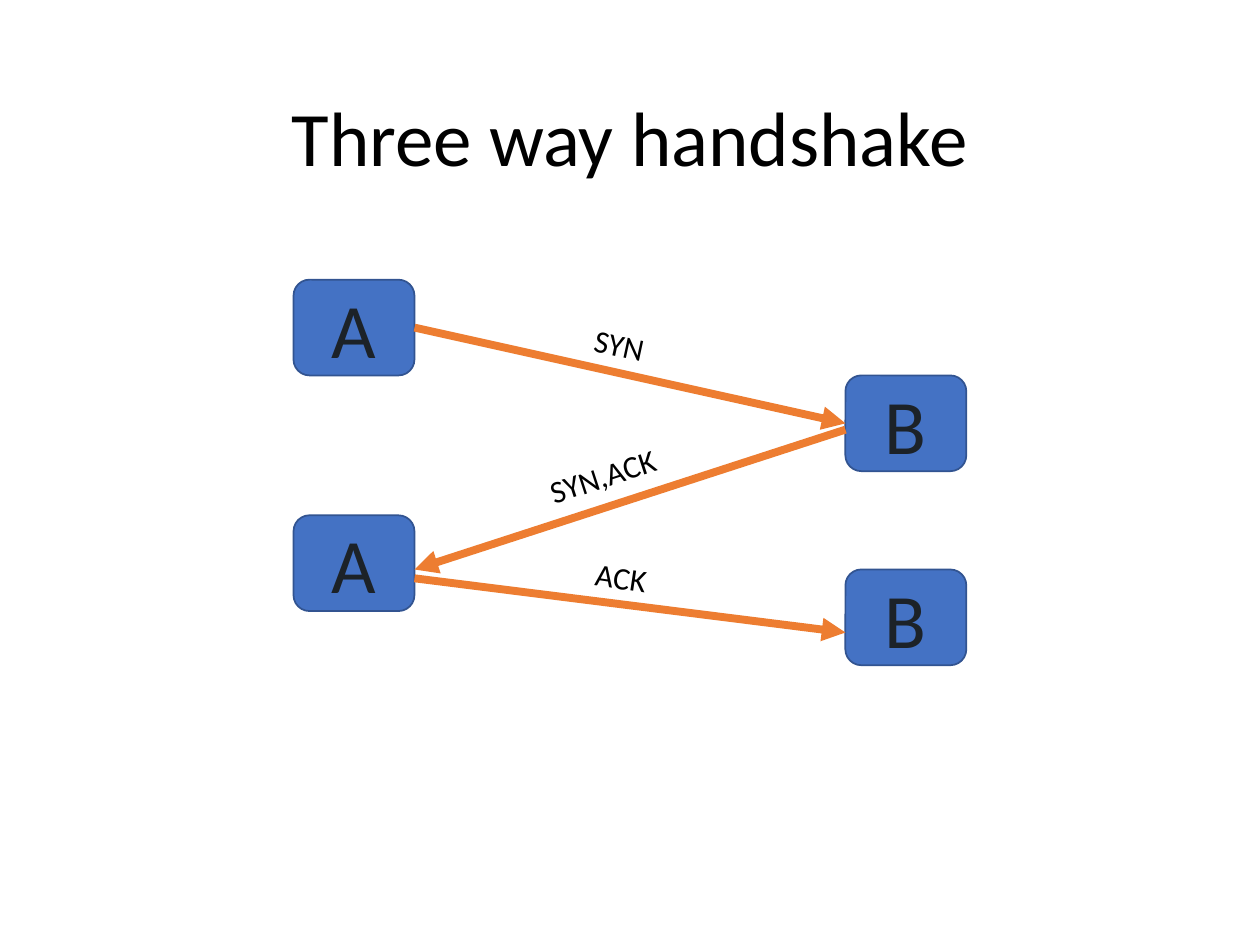
from lxml.etree import SubElement
from pptx import Presentation
from pptx.dml.color import RGBColor
from pptx.enum.shapes import MSO_CONNECTOR, MSO_SHAPE
from pptx.enum.text import MSO_ANCHOR, PP_ALIGN
from pptx.oxml.ns import qn
from pptx.util import Inches, Pt

WHITE = RGBColor(0xFF, 0xFF, 0xFF)
BLACK = RGBColor(0x00, 0x00, 0x00)
DARK = RGBColor(0x1C, 0x22, 0x28)
BLUE = RGBColor(0x44, 0x72, 0xC4)
BLUE_EDGE = RGBColor(0x32, 0x54, 0x91)
ORANGE = RGBColor(0xED, 0x7D, 0x31)

HOST_WIDTH, HOST_HEIGHT = 0.96, 0.76
A_LEFT, B_LEFT = 2.33, 6.71
A_EDGE, B_EDGE = A_LEFT + HOST_WIDTH, B_LEFT

HOSTS = [
    ("A", A_LEFT, 2.22),
    ("B", B_LEFT, 2.98),
    ("A", A_LEFT, 4.09),
    ("B", B_LEFT, 4.52),
]
MESSAGES = [
    ((A_EDGE, 2.6), (B_EDGE, 3.36)),
    ((B_EDGE, 3.41), (A_EDGE, 4.52)),
    ((A_EDGE, 4.59), (B_EDGE, 5.02)),
]
LABELS = [
    ("SYN", 4.62, 2.55, 0.73, 12.3),
    ("SYN,ACK", 4.24, 3.51, 1.48, 342),
    ("ACK", 4.63, 4.39, 0.73, 8.5),
]


def write_text(shape, text, *, size, font="Calibri", color=BLACK,
               align=PP_ALIGN.LEFT, anchor=MSO_ANCHOR.TOP, line_spacing=1.0):
    frame = shape.text_frame
    frame.word_wrap = True
    frame.vertical_anchor = anchor
    paragraph = frame.paragraphs[0]
    paragraph.alignment = align
    paragraph.line_spacing = line_spacing
    run = paragraph.add_run()
    run.text = text
    run.font.name = font
    run.font.size = Pt(size)
    run.font.color.rgb = color


class HandshakeSlide:
    """Holds the slide and the style of its elements."""

    large_size = 44
    label_size = 18
    arrow_width = 4.5

    def __init__(self, slide):
        self.slide = slide
        fill = slide.background.fill
        fill.solid()
        fill.fore_color.rgb = WHITE

    def add_title(self, text):
        box = self.slide.shapes.add_textbox(
            Inches(0.69), Inches(0.4), Inches(8.62), Inches(1.45))
        write_text(box, text, size=self.large_size, align=PP_ALIGN.CENTER,
                   anchor=MSO_ANCHOR.MIDDLE, line_spacing=0.9)

    def add_host(self, name, left, top):
        shape = self.slide.shapes.add_shape(
            MSO_SHAPE.ROUNDED_RECTANGLE, Inches(left), Inches(top),
            Inches(HOST_WIDTH), Inches(HOST_HEIGHT))
        shape.shadow.inherit = False
        shape.fill.solid()
        shape.fill.fore_color.rgb = BLUE
        shape.line.color.rgb = BLUE_EDGE
        shape.line.width = Pt(1)
        write_text(shape, name, size=self.large_size, color=DARK,
                   align=PP_ALIGN.CENTER, anchor=MSO_ANCHOR.MIDDLE)

    def add_arrow(self, start, end):
        arrow = self.slide.shapes.add_connector(
            MSO_CONNECTOR.STRAIGHT, *map(Inches, start + end))
        arrow.line.color.rgb = ORANGE
        arrow.line.width = Pt(self.arrow_width)
        SubElement(arrow.line._get_or_add_ln(), qn("a:tailEnd"), type="triangle")
        SubElement(arrow._element.spPr, qn("a:effectLst"))

    def add_label(self, text, left, top, width, rotation):
        box = self.slide.shapes.add_textbox(
            Inches(left), Inches(top), Inches(width), Inches(0.4))
        box.rotation = rotation
        write_text(box, text, size=self.label_size)


def main():
    presentation = Presentation()
    presentation.slide_width = Inches(10)
    presentation.slide_height = Inches(7.5)
    blank_layout = presentation.slide_layouts[6]
    handshake = HandshakeSlide(presentation.slides.add_slide(blank_layout))

    handshake.add_title("Three way handshake")
    for host in HOSTS:
        handshake.add_host(*host)
    for message in MESSAGES:
        handshake.add_arrow(*message)
    for label in LABELS:
        handshake.add_label(*label)

    presentation.save("out.pptx")


if __name__ == "__main__":
    main()
